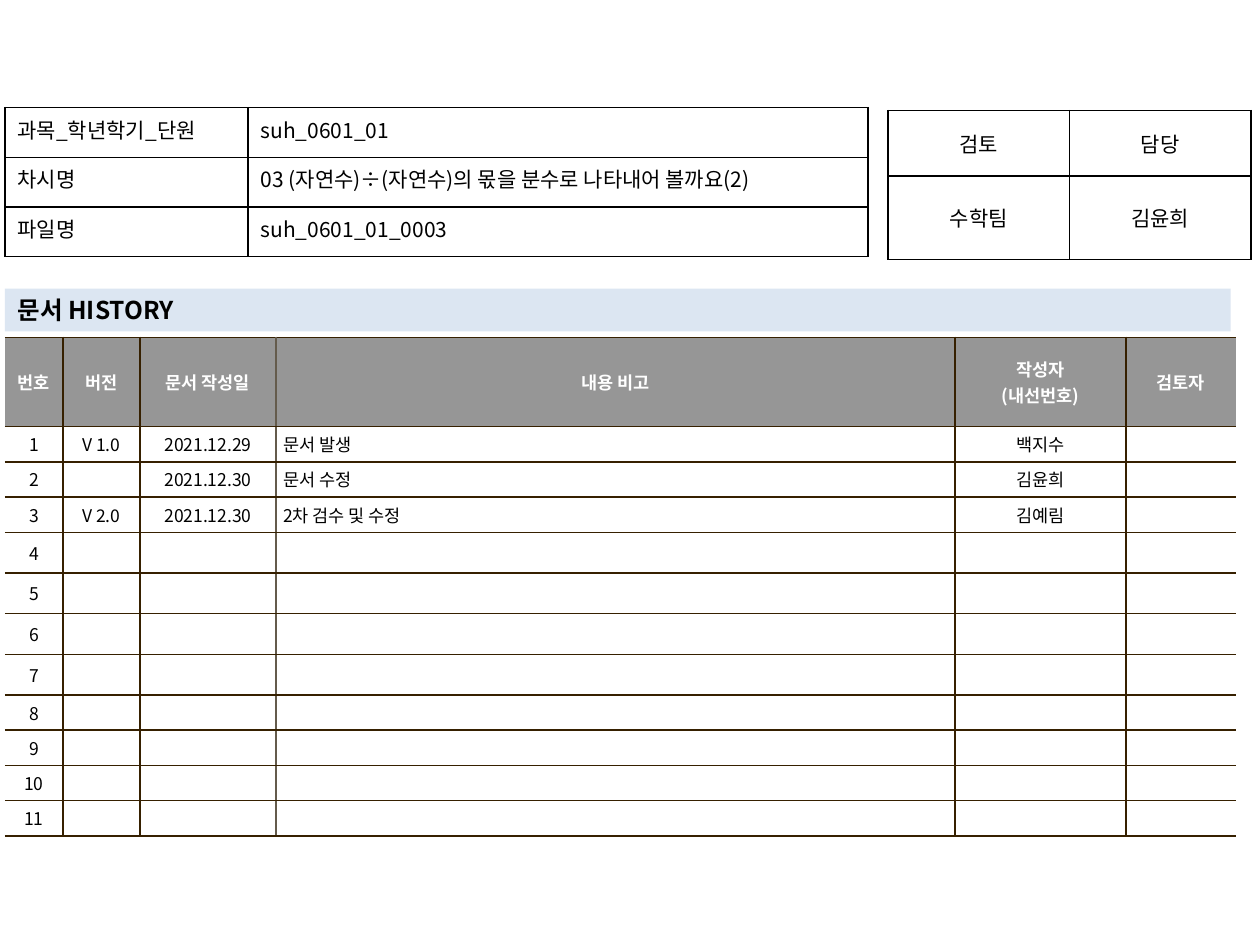
from lxml.etree import SubElement
from pptx import Presentation
from pptx.dml.color import RGBColor
from pptx.enum.text import MSO_ANCHOR, PP_ALIGN
from pptx.oxml.ns import qn
from pptx.util import Cm, Pt

FONT = "Noto Sans CJK KR"
BLACK = RGBColor(0x00, 0x00, 0x00)
WHITE = RGBColor(0xFF, 0xFF, 0xFF)
GRAY = RGBColor(0x96, 0x96, 0x96)
PALE_BLUE = RGBColor(0xDC, 0xE6, 0xF2)
BROWN = RGBColor(0x36, 0x20, 0x00)
TAUPE = RGBColor(0x64, 0x5B, 0x4C)

DOCUMENT_ROWS = [
    ["과목_학년학기_단원", "suh_0601_01"],
    ["차시명", "03 (자연수)÷(자연수)의 몫을 분수로 나타내어 볼까요(2)"],
    ["파일명", "suh_0601_01_0003"],
]
APPROVAL_ROWS = [["검토", "담당"], ["수학팀", "김윤희"]]
HISTORY_HEADER = ["번호", "버전", "문서 작성일", "내용 비고", "작성자\n(내선번호)", "검토자"]
HISTORY_ENTRIES = [
    ["V 1.0", "2021.12.29", "문서 발생", "백지수", ""],
    ["", "2021.12.30", "문서 수정", "김윤희", ""],
    ["V 2.0", "2021.12.30", "2차 검수 및 수정", "김예림", ""],
]
HISTORY_LENGTH = 11
NOTE_COLUMN = 3


def format_paragraph(paragraph, size, color=BLACK, bold=False, align=PP_ALIGN.LEFT):
    paragraph.alignment = align
    font = paragraph.font
    font.name, font.size, font.bold = FONT, Pt(size), bold
    font.color.rgb = color
    properties = paragraph._p.pPr.find(qn("a:defRPr"))
    SubElement(properties, qn("a:ea"), typeface=FONT)


def set_borders(cell, left, right, top, bottom):
    properties = cell._tc.get_or_add_tcPr()
    colors = {"a:lnL": left, "a:lnR": right, "a:lnT": top, "a:lnB": bottom}
    for index, (tag, color) in enumerate(colors.items()):
        line = properties.makeelement(qn(tag), {"w": str(Pt(1))})
        properties.insert(index, line)
        if color is None:
            SubElement(line, qn("a:noFill"))
        else:
            fill = SubElement(line, qn("a:solidFill"))
            SubElement(fill, qn("a:srgbClr"), val=str(color))


def add_grid(slide, left, top, widths, heights, rows):
    frame = slide.shapes.add_table(
        len(heights), len(widths), Cm(left), Cm(top), Cm(sum(widths)), Cm(sum(heights)))
    table = frame.table
    table.first_row = table.horz_banding = False
    for column, width in zip(table.columns, widths):
        column.width = Cm(width)
    for row, height, texts in zip(table.rows, heights, rows):
        row.height = Cm(height)
        for cell, text in zip(row.cells, texts):
            cell.text = text
    return table


def add_plain_table(slide, left, top, widths, heights, rows, align, anchor):
    table = add_grid(slide, left, top, widths, heights, rows)
    for cell in table.iter_cells():
        cell.fill.background()
        cell.vertical_anchor = anchor
        set_borders(cell, BLACK, BLACK, BLACK, BLACK)
        format_paragraph(cell.text_frame.paragraphs[0], 12, align=align)


def add_heading(slide, left, top, width, height):
    title = slide.shapes.title
    title.left, title.top, title.width, title.height = map(Cm, (left, top, width, height))
    title.fill.solid()
    title.fill.fore_color.rgb = PALE_BLUE
    title.text = "문서 HISTORY"
    title.text_frame.vertical_anchor = MSO_ANCHOR.MIDDLE
    format_paragraph(title.text_frame.paragraphs[0], 14, bold=True)


def add_history(slide, left, top):
    widths = [1.17, 1.55, 2.74, 13.69, 3.45, 2.21]
    heights = [1.8] + [0.71] * 3 + [0.82] * 4 + [0.71] * 4
    blank = [""] * len(HISTORY_ENTRIES[0])
    entries = HISTORY_ENTRIES + [blank] * (HISTORY_LENGTH - len(HISTORY_ENTRIES))
    rows = [HISTORY_HEADER] + [[str(n), *entry] for n, entry in enumerate(entries, 1)]
    table = add_grid(slide, left, top, widths, heights, rows)

    edges = [None, BROWN, BROWN, TAUPE, BROWN, BROWN, None]
    for row_index, row in enumerate(table.rows):
        is_header = row_index == 0
        for column_index, cell in enumerate(row.cells):
            cell.fill.solid()
            cell.fill.fore_color.rgb = GRAY if is_header else WHITE
            cell.vertical_anchor = MSO_ANCHOR.MIDDLE
            cell.margin_left = cell.margin_right = Cm(0.15)
            cell.margin_top = cell.margin_bottom = Cm(0.1)
            set_borders(cell, edges[column_index], edges[column_index + 1], BROWN, BROWN)
            is_note = column_index == NOTE_COLUMN and not is_header
            for paragraph in cell.text_frame.paragraphs:
                format_paragraph(
                    paragraph, 10, WHITE if is_header else BLACK, is_header,
                    PP_ALIGN.LEFT if is_note else PP_ALIGN.CENTER)


def main():
    presentation = Presentation()
    presentation.slide_width, presentation.slide_height = Cm(25.4), Cm(19.05)
    slide = presentation.slides.add_slide(presentation.slide_layouts[5])
    add_history(slide, 0.1, 6.8)
    add_plain_table(slide, 17.9, 2.23, [3.66] * 2, [1.32, 1.68], APPROVAL_ROWS,
                    PP_ALIGN.CENTER, MSO_ANCHOR.MIDDLE)
    add_heading(slide, 0.1, 5.82, 24.71, 0.86)
    add_plain_table(slide, 0.1, 2.17, [4.9, 12.5], [1] * 3, DOCUMENT_ROWS,
                    PP_ALIGN.LEFT, MSO_ANCHOR.TOP)
    presentation.save("out.pptx")


if __name__ == "__main__":
    main()
